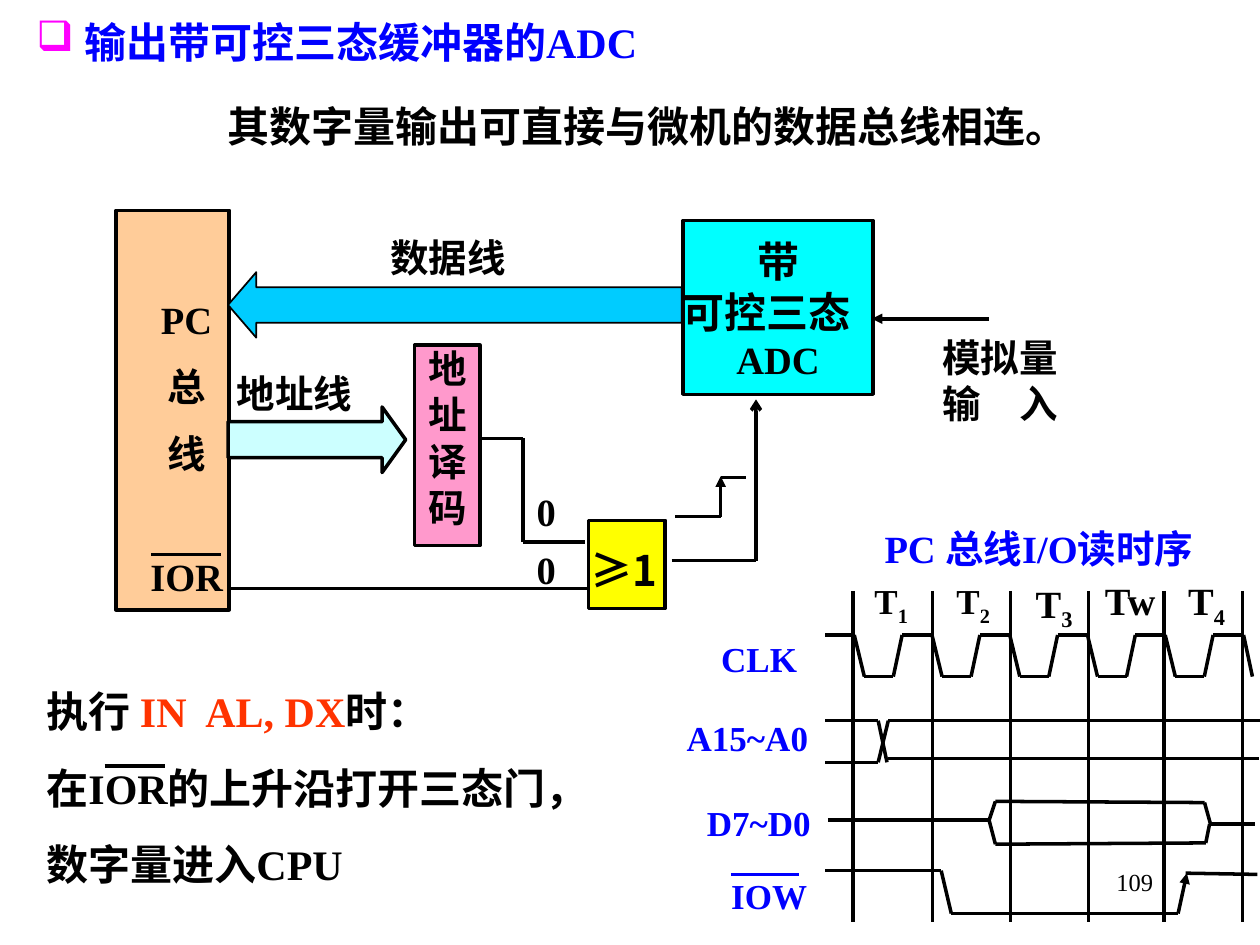
from itertools import pairwise
from lxml.etree import SubElement
from pptx import Presentation
from pptx.dml.color import RGBColor
from pptx.enum.lang import MSO_LANGUAGE_ID
from pptx.enum.shapes import MSO_CONNECTOR, MSO_SHAPE
from pptx.enum.text import MSO_ANCHOR, PP_ALIGN
from pptx.oxml.ns import qn
from pptx.util import Inches, Pt

HUES = {"ink": "000000", "blue": "0000FF", "red": "FF3300", "pink": "FF00FF",
        "peach": "FFCC99", "cyan": "00FFFF", "sky": "00CCFF", "rose": "FF99CC",
        "ice": "CCFFFF", "yellow": "FFFF00"}
LEFT, MID, RIGHT = PP_ALIGN.LEFT, PP_ALIGN.CENTER, PP_ALIGN.RIGHT
COLS, ROWS = 100, 75
WIDE, HIGH = Inches(10), Inches(7.5)


def hue(name):
    """Return the named colour."""
    return RGBColor.from_string(HUES[name])


def cells(x, y):
    """Turn a column and a row into slide lengths."""
    return round(x * WIDE / COLS), round(y * HIGH / ROWS)


def write(frame, lines, size=22, ink="ink", align=LEFT, gap=0, bold=True,
          face="Times New Roman"):
    """Fill a frame with paragraphs, each a string or a list of (text, hue)."""
    for i, line in enumerate(lines):
        para = frame.paragraphs[0] if i == 0 else frame.add_paragraph()
        para.alignment = align
        if i and gap:
            para.space_before = Pt(gap)
        for text, tint in [(line, None)] if isinstance(line, str) else line:
            run = para.add_run()
            run.text = text
            if tint:
                run.font.color.rgb = hue(tint)
        font = para.font
        font.name, font.size, font.bold = face, Pt(size), bold
        font.language_id = MSO_LANGUAGE_ID.SIMPLIFIED_CHINESE
        if isinstance(line, str):
            font.color.rgb = hue(ink)


def inset(frame, side=0, top=0):
    """Set the margins of a frame and hang its text from the top."""
    frame.word_wrap = True
    frame.vertical_anchor = MSO_ANCHOR.TOP
    frame.margin_left = frame.margin_right = Inches(side)
    frame.margin_top = Inches(top)
    frame.margin_bottom = Inches(min(top, side))


def label(slide, x, y, w, h, lines, pad=False, **style):
    """Add a text box and return its frame."""
    frame = slide.shapes.add_textbox(*cells(x, y), *cells(w, h)).text_frame
    inset(frame, *((0.1, 0.05) if pad else (0, 0)))
    write(frame, lines, **style)
    return frame


def block(slide, kind, x, y, w, h, fill, width=2):
    """Add a filled shape with a dark outline."""
    shape = slide.shapes.add_shape(kind, *cells(x, y), *cells(w, h))
    shape.shadow.inherit = False
    shape.fill.solid()
    shape.fill.fore_color.rgb = hue(fill)
    shape.line.color.rgb = hue("ink")
    shape.line.width = Pt(width)
    return shape


def trace(slide, *spots, ink="ink", width=2, tip=None):
    """Draw a chain of straight lines, with an arrowhead on the last one."""
    for start, end in pairwise(spots):
        wire = slide.shapes.add_connector(
            MSO_CONNECTOR.STRAIGHT, *cells(*start), *cells(*end))
        wire.line.color.rgb = hue(ink)
        wire.line.width = Pt(width)
        props = wire._element.spPr
        SubElement(props, qn("a:effectLst"))
    if tip:
        SubElement(props.find(qn("a:ln")), qn("a:tailEnd"), type=tip)


def hang(para, indent):
    """Give a paragraph a coloured box bullet."""
    props = para._p.get_or_add_pPr()
    props.set("marL", str(Inches(indent)))
    props.set("indent", str(-Inches(indent)))
    mark = SubElement(props, qn("a:buClr"))
    SubElement(mark, qn("a:srgbClr"), val=HUES["pink"])
    SubElement(props, qn("a:buChar"), char="❑")
    props.append(props.find(qn("a:defRPr")))


def stop(para, place):
    """Give a paragraph one left tab stop."""
    props = para._p.get_or_add_pPr()
    tabs = SubElement(props, qn("a:tabLst"))
    SubElement(tabs, qn("a:tab"), pos=str(Inches(place)), algn="l")
    props.append(props.find(qn("a:defRPr")))


def heads(slide):
    """Add the heading, the lead sentence and the page number."""
    frame = label(slide, 1.9, 0.8, 51.3, 5, ["输出带可控三态缓冲器的ADC"], pad=True,
                  size=24, ink="blue")
    hang(frame.paragraphs[0], 0.38)
    lead = label(slide, 15.4, 7.5, 68.6, 5, ["其数字量输出可直接与微机的数据总线相连。"],
                 pad=True, size=24, align=MID)
    lead.word_wrap = False
    label(slide, 71.7, 68.3, 20.8, 5, ["109"], pad=True, size=14, align=RIGHT, bold=False)


def timing(slide):
    """Draw the bus read timing chart."""
    label(slide, 70.2, 41.7, 27.8, 4.2, ["PC 总线I/O读时序"], ink="blue")
    for x, y, w, name in [(54.5, 56.9, 11, "A15~A0"), (56.7, 50.6, 7.1, "CLK"),
                          (57.1, 69.4, 7.9, "IOW"), (56.1, 63.6, 9.4, "D7~D0")]:
        label(slide, x, y, w, 3.3, [name], size=20, ink="blue",
              align=MID if len(name) == 3 else LEFT)
    trace(slide, (58, 69.4), (63.4, 69.4), ink="blue")
    for x in (67.7, 74, 80.2, 86.4, 92.4, 98.6):
        trace(slide, (x, 46.9), (x, 73.2))
    for x, y, size, foot in [(69.4, 46, 20, "1"), (75.9, 46, 20, "2"),
                             (82.2, 46, 22, "3"), (94.3, 45.8, 22, "4")]:
        frame = label(slide, x, y, 3.8, 5, [[("T", "ink"), (foot, "ink")]], size=size)
        frame.paragraphs[0].runs[1]._r.get_or_add_rPr().set("baseline", "-25000")
    label(slide, 87.7, 45.8, 4.3, 5.6, ["Tw"])

    top, low, step = 50.4, 53.7, 6.17
    clock = [(65.5, top)]
    for i in range(5):
        x = 67.8 + i * step
        clock += [(x, top), (x + 0.8, low), (x + 3.1, low), (x + 3.8, top)]
    trace(slide, *clock, (98.7, top), (99.4, low))

    trace(slide, (65.5, 57.2), (69.7, 57.2), (70.4, 60.5))
    trace(slide, (65.5, 60.5), (69.7, 60.5), (70.5, 57.2), (100, 57.2))
    trace(slide, (70.5, 60.2), (99.9, 60.2))
    trace(slide, (65.7, 65.1), (78.5, 65.1), (79, 63.6), (95.6, 63.7), (96.1, 65.5))
    trace(slide, (78.5, 65.1), (79, 67), (95.7, 66.9), (96, 65.4), (99.6, 65.4))
    trace(slide, (65.5, 69.1), (74.7, 69.1), (75.5, 72.5), (93.5, 72.5), (94.2, 69.3),
          tip="triangle")
    trace(slide, (94.1, 69.3), (99.8, 69.4))


def steps(slide):
    """Add the text on what the read instruction does."""
    label(slide, 2.7, 53.9, 46.5, 17.2,
          [[("执行 ", "ink"), ("IN  AL, DX", "red"), ("时：", "ink")],
           "在IOR的上升沿打开三态门，", "数字量进入CPU"], pad=True, size=24, gap=15)
    trace(slide, (8.3, 60.8), (13.1, 60.8), width=2.25)


def circuit(slide):
    """Draw the bus, the decoder, the gate and the converter."""
    rect, arrow = MSO_SHAPE.RECTANGLE, MSO_SHAPE.RIGHT_ARROW
    block(slide, rect, 9.2, 16.7, 9, 31.7, "peach")
    label(slide, 12.3, 23.5, 5, 18.1, ["PC", "总", "线"], align=MID, gap=12)
    label(slide, 10.1, 43.9, 7.6, 3.4, ["IOR"], align=RIGHT)
    trace(slide, (12, 44), (17.5, 44))

    adc = block(slide, rect, 54.2, 17.5, 15.1, 13.8, "cyan").text_frame
    inset(adc, top=0.12)
    write(adc, ["带", "可控三态", "ADC"], size=24, align=MID)
    adc.paragraphs[1].alignment = LEFT
    adc.paragraphs[2].font.size = Pt(22)
    trace(slide, (78.5, 25.3), (69.2, 25.3), tip="triangle")
    frame = label(slide, 74.8, 26.5, 10.7, 7.6, ["模拟量", "输\t入"])
    stop(frame.paragraphs[1], 0.61)

    label(slide, 31, 18.6, 10.7, 3.9, ["数据线"])
    data = block(slide, arrow, 18.1, 21.6, 36, 5.2, "sky", width=1)
    data.rotation = 180
    data.adjustments[0], data.adjustments[1] = 0.54, 0.43
    label(slide, 18.8, 29.4, 15.4, 3.9, ["地址线"])
    lane = block(slide, arrow, 18.1, 32.3, 14.1, 5.2, "ice")
    lane.adjustments[0], lane.adjustments[1] = 0.55, 0.36

    code = block(slide, rect, 32.9, 27.4, 5.2, 15.9, "rose").text_frame
    inset(code)
    write(code, "地址译码", align=MID)
    trace(slide, (38.1, 34.8), (41.5, 34.8), (41.5, 43), (46.4, 43))
    trace(slide, (18.1, 46.7), (46.7, 46.7))
    for y in (38.7, 43.3):
        label(slide, 42.6, y, 1.6, 3.9, ["0"])

    block(slide, rect, 46.7, 41.3, 6.1, 7, "yellow")
    gate = label(slide, 46.9, 40.8, 5.3, 6.2, ["≥1"], size=24, face="Noto Sans CJK SC")
    gate.paragraphs[0].line_spacing = 1.6
    trace(slide, (53.3, 44.5), (60, 44.5), (60, 31.7), tip="arrow")
    trace(slide, (53.6, 41), (57.2, 41), (57.2, 37.8), tip="triangle")
    trace(slide, (57.2, 37.9), (59.2, 37.9))


def main():
    """Build and save the slide."""
    deck = Presentation()
    deck.slide_width, deck.slide_height = WIDE, HIGH
    slide = deck.slides.add_slide(deck.slide_layouts[6])
    for part in (heads, timing, steps, circuit):
        part(slide)
    deck.save("out.pptx")


if __name__ == "__main__":
    main()
